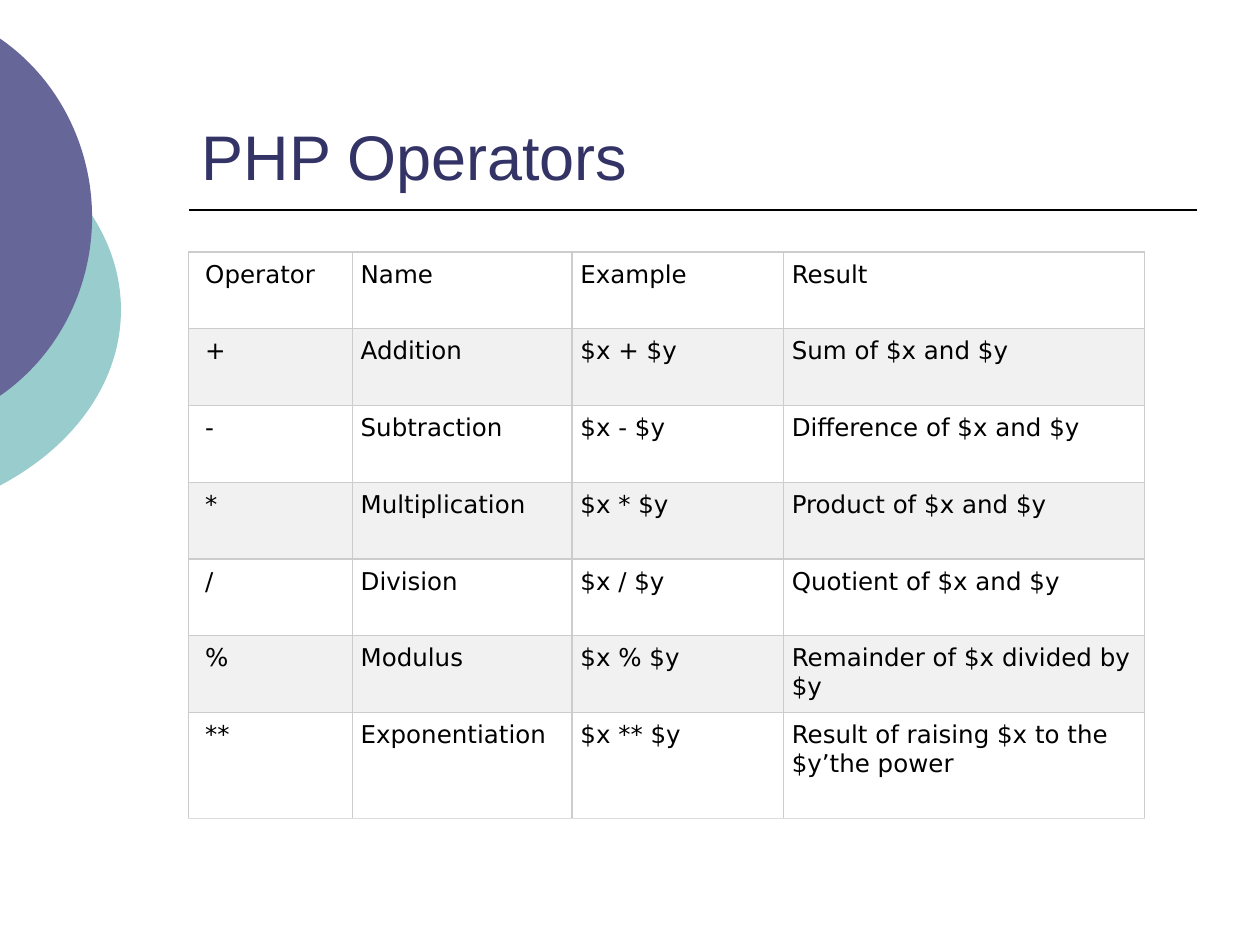
import pptx
import pptx.dml.color
import pptx.enum.shapes
import pptx.enum.text
import pptx.oxml
import pptx.util
from dataclasses import dataclass

Pt = pptx.util.Pt
DRAWING = 'xmlns:a="http://schemas.openxmlformats.org/drawingml/2006/main"'

TITLE = "PHP Operators"
ROWS = [
    ("Operator", "Name", "Example", "Result"),
    ("+", "Addition", "$x + $y", "Sum of $x and $y"),
    ("-", "Subtraction", "$x - $y", "Difference of $x and $y"),
    ("*", "Multiplication", "$x * $y", "Product of $x and $y"),
    ("/", "Division", "$x / $y", "Quotient of $x and $y"),
    ("%", "Modulus", "$x % $y", "Remainder of $x divided by $y"),
    ("**", "Exponentiation", "$x ** $y", "Result of raising $x to the $y’the power"),
]
COLUMN_WIDTHS = (93.6, 125.6, 120.8, 206.2)
ROW_HEIGHT, LAST_ROW_HEIGHT = 43.88, 60.7
LEFT, TABLE_LEFT = 108, 107.7


@dataclass(frozen=True)
class Theme:
    title_font: str = "Arial"
    title_size: float = 36
    title_color: str = "333366"
    table_font: str = "DejaVu Sans"
    table_size: float = 14
    ink: str = "000000"
    teal: str = "99CCCC"
    purple: str = "666699"
    bands: tuple = ("FFFFFF", "F1F1F1")
    border: str = "CCCCCC"
    last_border: str = "DDDDDD"


THEME = Theme()

# Colour, frame (left, top, width, height) and upper half of the disc edge as
# four Bezier points; the lower half mirrors it
DISCS = [
    (THEME.teal, (-254.9, 54, 324, 246.2),
     [(-0.5, 76.5), (43.2, 99.4), (69.1, 136.8), (69.1, 177.1)]),
    (THEME.purple, (-190.8, 0, 243.4, 248.4),
     [(-0.5, 21.7), (33.1, 44.6), (52.6, 83.5), (52.6, 124.1)]),
]


def rgb(value):
    return pptx.dml.color.RGBColor.from_string(value)


def add_text(para, text, font, size, color):
    span = para.add_run()
    span.text = text
    span.font.name = font
    span.font.size = Pt(size)
    span.font.color.rgb = rgb(color)


def add_disc(page, color, frame, upper):
    """Draw the part of a disc that shows beside the left slide edge."""
    left, top, width, height = frame
    builder = page.shapes.build_freeform(Pt(left), Pt(top))
    builder.add_line_segments([(Pt(left + width), Pt(top)),
                               (Pt(left + width), Pt(top + height))])
    disc = builder.convert_to_shape()

    middle = upper[-1][1]
    lower = [(x, 2 * middle - y) for x, y in reversed(upper[:-1])]
    start, *curve = [f'<a:pt x="{Pt(x - left)}" y="{Pt(y - top)}"/>'
                     for x, y in upper + lower]
    halves = "".join(f'<a:cubicBezTo>{"".join(curve[i:i + 3])}</a:cubicBezTo>'
                     for i in (0, 3))
    outline = pptx.oxml.parse_xml(
        f'<a:path {DRAWING} w="{Pt(width)}" h="{Pt(height)}">'
        f'<a:moveTo>{start}</a:moveTo>{halves}<a:close/></a:path>')
    straight = disc._element.xpath(".//a:path")[0]
    straight.getparent().replace(straight, outline)

    disc.shadow.inherit = False
    disc.fill.solid()
    disc.fill.fore_color.rgb = rgb(color)
    disc.line.fill.background()


def add_rule(page):
    rule = page.shapes.add_connector(
        pptx.enum.shapes.MSO_CONNECTOR.STRAIGHT, Pt(LEFT), Pt(120), Pt(684), Pt(120))
    rule.line.color.rgb = rgb(THEME.ink)
    rule.line.width = Pt(1)
    rule._element.spPr.append(pptx.oxml.parse_xml(f"<a:effectLst {DRAWING}/>"))


def set_borders(cell, bottom_color):
    properties = cell._tc.get_or_add_tcPr()
    for index, side in enumerate("LRTB"):
        color = bottom_color if side == "B" else THEME.border
        properties.insert(index, pptx.oxml.parse_xml(
            f'<a:ln{side} {DRAWING} w="{Pt(0.75)}"><a:solidFill>'
            f'<a:srgbClr val="{color}"/></a:solidFill></a:ln{side}>'))


def add_title(page):
    title = page.shapes.title
    title.left, title.top, title.width, title.height = Pt(LEFT), Pt(24), Pt(576), Pt(90)
    frame = title.text_frame
    frame.word_wrap = True
    frame.auto_size = pptx.enum.text.MSO_AUTO_SIZE.NONE
    frame.vertical_anchor = pptx.enum.text.MSO_ANCHOR.BOTTOM
    para = frame.paragraphs[0]
    para.alignment = pptx.enum.text.PP_ALIGN.LEFT
    add_text(para, TITLE, THEME.title_font, THEME.title_size, THEME.title_color)


def add_operator_table(page):
    heights = [ROW_HEIGHT] * (len(ROWS) - 1) + [LAST_ROW_HEIGHT]
    table = page.shapes.add_table(
        len(ROWS), len(COLUMN_WIDTHS), Pt(TABLE_LEFT), Pt(144),
        Pt(sum(COLUMN_WIDTHS)), Pt(sum(heights))).table
    for column, width in zip(table.columns, COLUMN_WIDTHS):
        column.width = Pt(width)
    for r, (texts, height) in enumerate(zip(ROWS, heights)):
        table.rows[r].height = Pt(height)
        bottom = THEME.last_border if r == len(ROWS) - 1 else THEME.border
        for c, text in enumerate(texts):
            cell = table.cell(r, c)
            cell.margin_left = Pt(9.6 if c == 0 else 4.8)
            cell.margin_right = cell.margin_top = cell.margin_bottom = Pt(4.8)
            cell.vertical_anchor = pptx.enum.text.MSO_ANCHOR.TOP
            cell.fill.solid()
            cell.fill.fore_color.rgb = rgb(THEME.bands[r % 2])
            set_borders(cell, bottom)
            add_text(cell.text_frame.paragraphs[0], text,
                     THEME.table_font, THEME.table_size, THEME.ink)


def main():
    deck = pptx.Presentation()
    deck.slide_width, deck.slide_height = Pt(720), Pt(540)
    page = deck.slides.add_slide(deck.slide_layouts.get_by_name("Title Only"))
    for color, frame, upper in DISCS:
        add_disc(page, color, frame, upper)
    add_rule(page)
    add_title(page)
    add_operator_table(page)
    deck.save("out.pptx")


if __name__ == "__main__":
    main()
